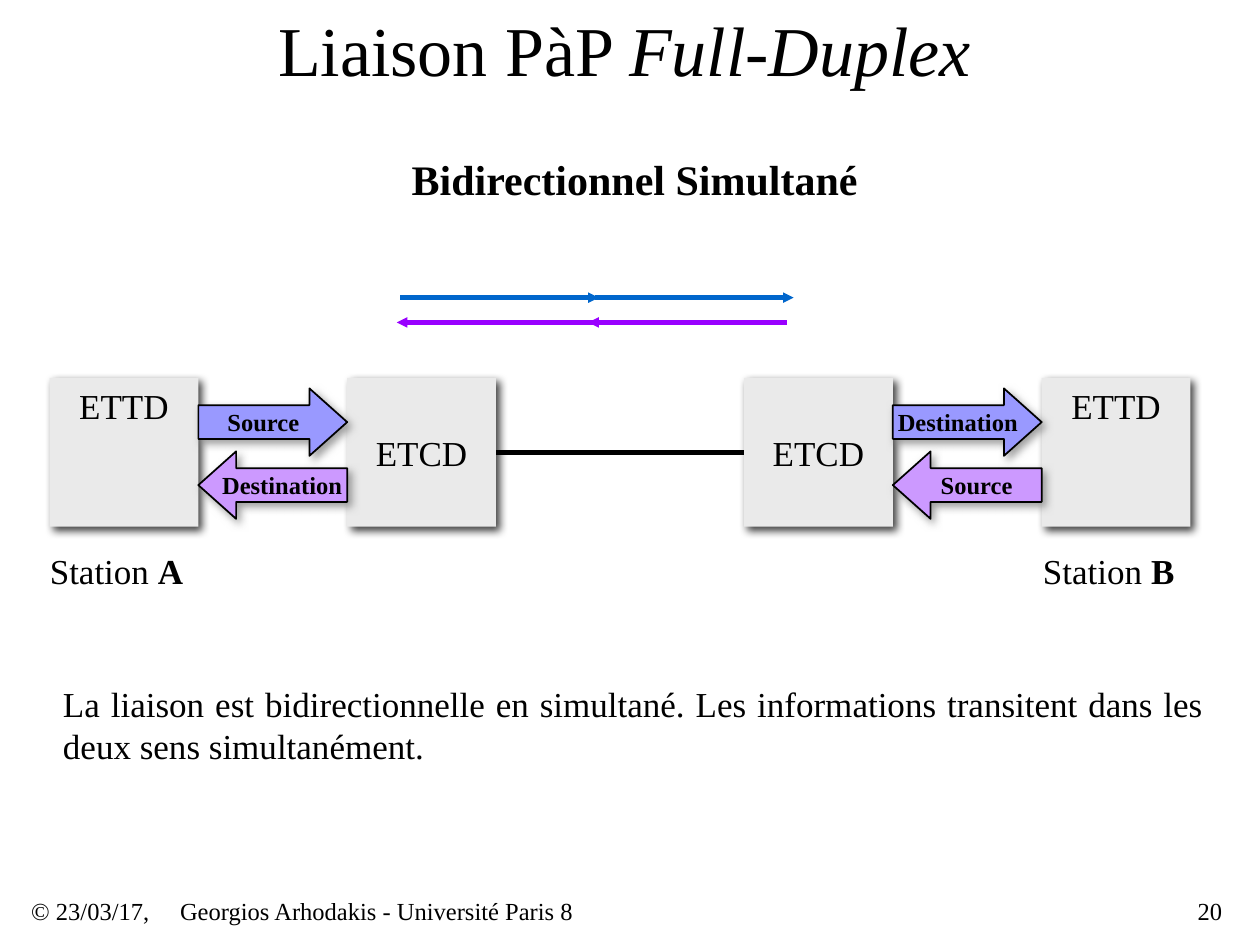
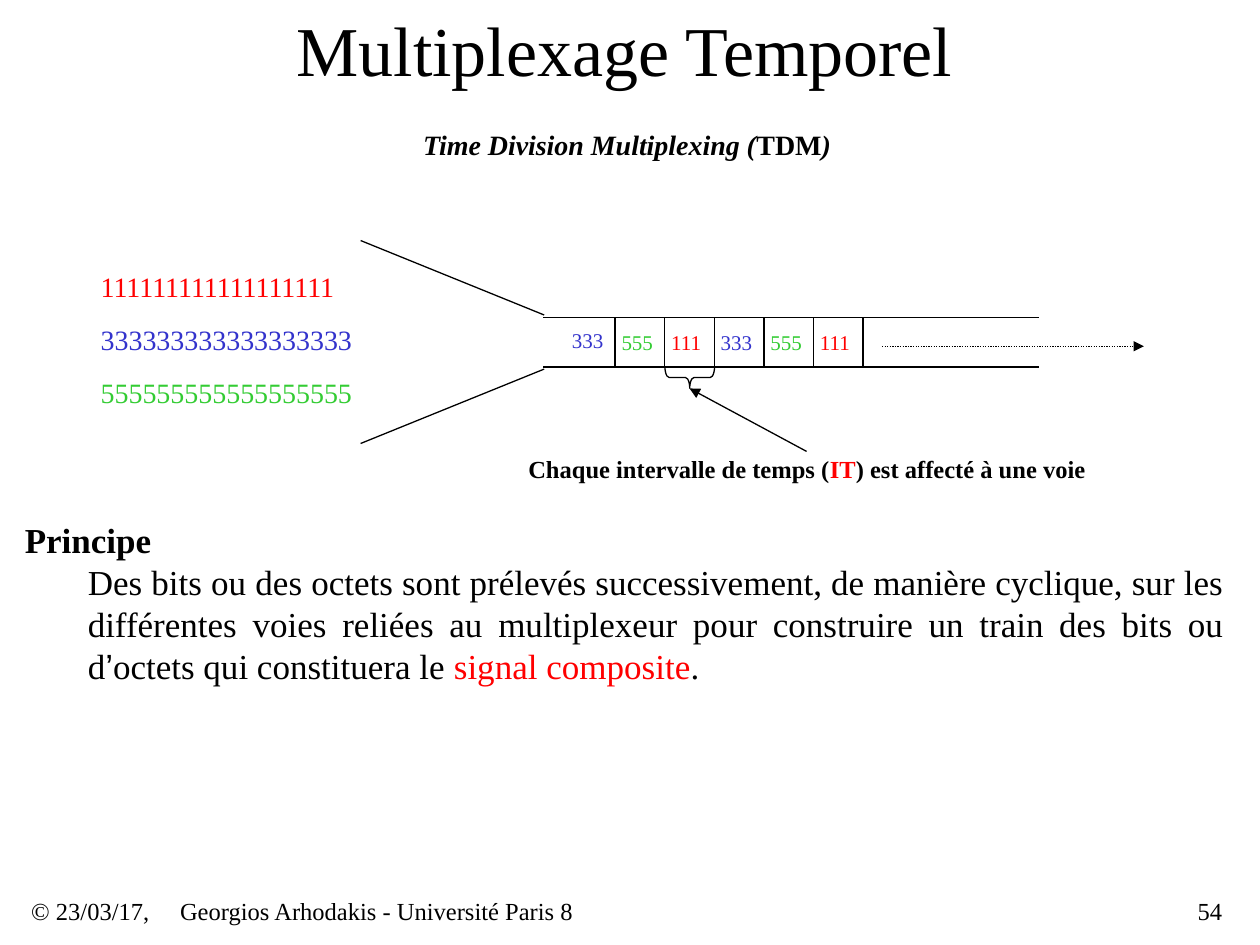
"""Build two network slides, full-duplex link and time multiplexing, on a grid of 1 cm cells."""
from pptx import Presentation
from pptx.dml.color import RGBColor
from pptx.enum.dml import MSO_LINE
from pptx.enum.shapes import MSO_CONNECTOR, MSO_SHAPE as SHAPE
from pptx.enum.text import MSO_ANCHOR as ANCHOR, PP_ALIGN as ALIGN
from pptx.oxml.ns import qn
from pptx.util import Cm, Pt
from lxml.etree import SubElement

COLORS = {
    "black": "000000", "gray": "808080", "box": "EAEAEA", "red": "FF0000",
    "blue": "3333CC", "green": "33CC33", "forward": "0066CC", "back": "9900FF",
    "forward_fill": "9999FF", "back_fill": "CC99FF",
}
FONT = "Times New Roman"
TIGHT, NONE, WIDE = (0.13, 0.05), (0, 0), (0.25, 0.13)


def put(s, box, paras, size, align=ALIGN.LEFT, inset=TIGHT, anchor=ANCHOR.MIDDLE,
        wrap=True, shape=None, fill=None, shadow=None):
    x, y, w, h = map(Cm, box)
    if shape:
        sp = s.shapes.add_shape(shape, x, y, w, h)
        sp.fill.solid()
        sp.fill.fore_color.rgb = RGBColor.from_string(COLORS[fill])
        sp.line.fill.background()
        sp.shadow.inherit = False
        effects = sp._element.spPr.find(qn("a:effectLst"))
        outer = SubElement(effects, qn("a:outerShdw"), blurRad=str(Pt(5)), dist=str(Pt(3)),
                           dir="2700000", algn="ctr", rotWithShape="0")
        clr = SubElement(outer, qn("a:srgbClr"), val=COLORS[shadow])
        SubElement(clr, qn("a:alpha"), val="75000")
    else:
        sp = s.shapes.add_textbox(x, y, w, h)
    tf = sp.text_frame
    tf.word_wrap, tf.vertical_anchor = wrap, anchor
    tf.margin_left = tf.margin_right = Cm(inset[0])
    tf.margin_top = tf.margin_bottom = Cm(inset[1])
    for i, runs in enumerate(paras):
        p = tf.add_paragraph() if i else tf.paragraphs[0]
        p.alignment = align
        for text, style in runs:
            r = p.add_run()
            r.text = text
            r.font.size = Pt(size)
            r.font.name = style.get("font", FONT)
            r.font.bold = "b" in style
            r.font.italic = "i" in style
            r.font.color.rgb = RGBColor.from_string(COLORS[style.get("color", "black")])
    return sp


def line(s, x1, y1, x2, y2, color="black", width=0.75, head=None):
    c = s.shapes.add_connector(MSO_CONNECTOR.STRAIGHT, Cm(x1), Cm(y1), Cm(x2), Cm(y2))
    c.line.color.rgb = RGBColor.from_string(COLORS[color])
    c.line.width = Pt(width)
    if head:
        SubElement(c.line._get_or_add_ln(), qn("a:tailEnd"), type="triangle", w=head, len=head)
    SubElement(c._element.spPr, qn("a:effectLst"))
    return c


prs = Presentation()
prs.slide_width, prs.slide_height = Cm(25.4), Cm(19.05)
BOLD, ITALIC, PLAIN = {"b": 1}, {"i": 1}, {}
slides = []
for number, title in [
    ("20", [("Liaison PàP ", PLAIN), ("Full-Duplex", ITALIC)]),
    ("54", [("Multiplexage Temporel", PLAIN)]),
]:
    s = prs.slides.add_slide(prs.slide_layouts[6])
    slides.append(s)
    for x, w, text, align in [
        (0.5, 5, "© 23/03/17,", ALIGN.LEFT),
        (3.5, 13, "Georgios Arhodakis - Université Paris 8", ALIGN.LEFT),
        (19.5, 5.27, number, ALIGN.RIGHT),
    ]:
        put(s, (x, 18, w, 0.7), [[(text, PLAIN)]], 14, align)
    put(s, (2.75, 0, 19.68, 1.95), [title], 40, ALIGN.CENTER, WIDE)
duplex, tdm = slides

put(duplex, (8.05, 2.97, 9.5, 1.27), [[("Bidirectionnel Simultané", BOLD)]], 24,
    inset=WIDE, anchor=ANCHOR.TOP, wrap=False)
for col, name, anchor in [(1, "ETTD", ANCHOR.TOP), (21, "ETTD", ANCHOR.TOP),
                          (7, "ETCD", ANCHOR.MIDDLE), (15, "ETCD", ANCHOR.MIDDLE)]:
    put(duplex, (col, 7.62, 3, 3), [[(name, PLAIN)]], 20, ALIGN.CENTER, WIDE, anchor,
        False, SHAPE.RECTANGLE, "box", "black")
for col, station in [(1, "A"), (21, "B")]:
    put(duplex, (col, 11, 2.7, 1), [[("Station ", PLAIN), (station, BOLD)]], 20,
        ALIGN.CENTER, NONE)

line(duplex, 10, 9.12, 15, 9.12, width=3)
for x1, x2, y, color in [(8.07, 12.07, 6, "forward"), (12, 16, 6, "forward"),
                         (12, 8, 6.5, "back"), (15.86, 11.86, 6.5, "back")]:
    line(duplex, x1, y, x2, y, color, 3, "sm")

for y, fill, labels in [(7.83, "forward_fill", ("Source", "Destination")),
                        (9.1, "back_fill", ("Destination", "Source"))]:
    for col, label in zip((4, 18), labels):
        sp = put(duplex, (col, y, 3, 1.36), [[(label, BOLD)]], 14, ALIGN.CENTER, NONE,
                 shape=SHAPE.RIGHT_ARROW, fill=fill, shadow="gray")
        sp.adjustments[0], sp.adjustments[1] = 0.5, 0.56
        sp.line.color.rgb = RGBColor.from_string(COLORS["black"])
        sp.line.width = Pt(1)
        if fill == "back_fill":
            sp._element.spPr.find(qn("a:xfrm")).set("flipH", "1")

put(duplex, (1.27, 13.76, 23, 1.7), [[(
    "La liaison est bidirectionnelle en simultané. Les informations transitent "
    "dans les deux sens simultanément.", PLAIN)]], 20, ALIGN.JUSTIFY, NONE)

put(tdm, (8.4, 2.5, 8.6, 0.8), [[("Time Division Multiplexing (", BOLD | ITALIC),
                                 ("TDM", BOLD), (")", BOLD | ITALIC)]], 16)
channels = [("1", "red"), ("3", "blue"), ("5", "green")]
for row, (digit, color) in enumerate(channels):
    put(tdm, (1.9, 5.43 + 1.06 * row, 5.5, 0.7), [[(digit * 18, {"color": color})]], 16)

for y in (6.4, 7.4):
    line(tdm, 10.95, y, 20.95, y)
for outer, inner in [(4.85, 6.35), (8.94, 7.44)]:
    line(tdm, 7.27, outer, 10.97, inner)
for slot in range(6):
    digit, color = channels[(slot + 1) % 3]
    x = 11.4 + slot
    put(tdm, (x, 6.55 if slot else 6.5, 1, 0.7), [[(digit * 3, {"color": color})]], 12)
    line(tdm, x + 1, 6.4, x + 1, 7.4)
line(tdm, 17.78, 6.98, 23.06, 6.98, head="med").line.dash_style = MSO_LINE.ROUND_DOT

brace = tdm.shapes.add_shape(SHAPE.LEFT_BRACE, Cm(13.69), Cm(7.11), Cm(0.43), Cm(1))
brace.rotation = 270
brace.adjustments[0] = 0.2
brace.fill.background()
brace.line.color.rgb = RGBColor.from_string(COLORS["black"])
brace.line.width = Pt(0.75)
brace.shadow.inherit = False
line(tdm, 16.26, 9.1, 13.9, 7.83, head="med")
put(tdm, (10.52, 9.1, 11.5, 0.7), [[
    ("Chaque intervalle de temps (", BOLD), ("IT", {"b": 1, "color": "red"}),
    (") est affecté à une voie", BOLD)]], 14)

sp = put(tdm, (0.5, 10.46, 24.18, 3.38), [[("Principe", BOLD)], [
    ("Des bits ou des octets sont prélevés successivement, de manière cyclique, sur les "
     "différentes voies reliées au multiplexeur pour construire un train des bits ou d", PLAIN),
    ("’", {"font": "Arial"}), ("octets qui constituera le ", PLAIN),
    ("signal composite", {"color": "red"}), (".", PLAIN)]], 20, ALIGN.JUSTIFY, NONE)
pPr = sp.text_frame.paragraphs[1]._p.get_or_add_pPr()
pPr.set("marL", str(Cm(1.27)))
pPr.set("indent", "0")

prs.save("out.pptx")
